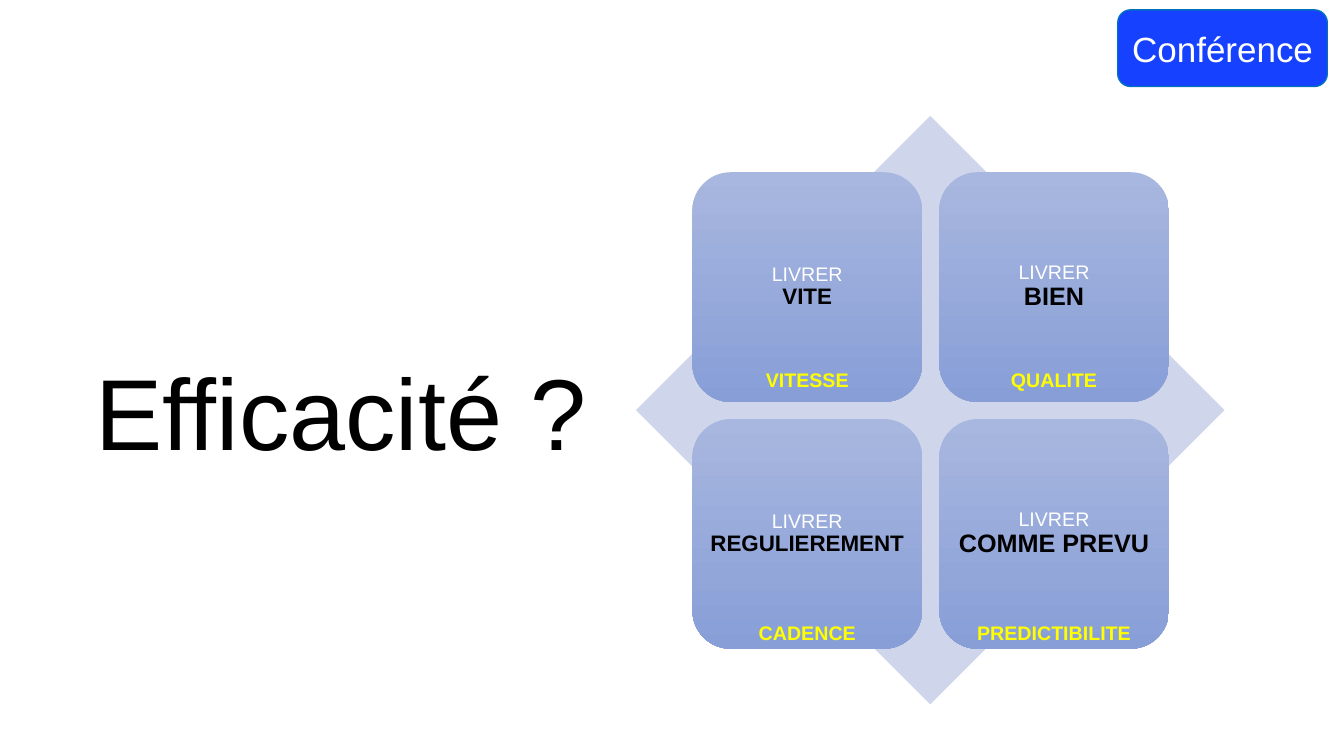
"""Build the "Efficacité ?" slide with its four delivery goals."""
from copy import deepcopy

from pptx import Presentation
from pptx.dml.color import RGBColor as RGB
from pptx.enum.shapes import MSO_SHAPE as SHAPE
from pptx.enum.text import MSO_ANCHOR as ANCHOR, PP_ALIGN as ALIGN
from pptx.oxml.ns import qn
from pptx.util import Cm, Pt

COLORS = {
    "tag": "1641FF", "tag_line": "0070C0", "diamond": "CFD5EA",
    "tile_top": "A8B7DF", "tile_bottom": "889ED7",
    "white": "FFFFFF", "black": "000000", "yellow": "FFFF00",
}
FONT = "Arial"
TILE, PITCH = 5.79, 6.22
TILES_LEFT, TILES_TOP = 17.45, 4.34
LABEL_TOPS = (9.14, 15.51)
GOALS = (
    (("VITE", 16, "VITESSE"), ("BIEN", 18, "QUALITE")),
    (("REGULIEREMENT", 16, "CADENCE"), ("COMME PREVU", 18, "PREDICTIBILITE")),
)


class Deck:
    def __init__(self):
        self.prs = Presentation()
        self.prs.slide_width, self.prs.slide_height = Cm(33.87), Cm(19.05)
        self.slide = self.prs.slides.add_slide(self.prs.slide_layouts[6])

    def color(self, name):
        return RGB.from_string(COLORS[name])

    def style(self, r, size, color, bold=False):
        f = r.font
        f.name, f.size, f.bold = FONT, Pt(size), bold
        f.color.rgb = self.color(color)

    def shape(self, kind, x, y, w, h, fill=None):
        sp = self.slide.shapes.add_shape(kind, Cm(x), Cm(y), Cm(w), Cm(h))
        sp.shadow.inherit = False
        sp.line.fill.background()
        if fill:
            sp.fill.solid()
            sp.fill.fore_color.rgb = self.color(fill)
        return sp

    def inner_text(self, sp, text, inset):
        tf = sp.text_frame
        tf.word_wrap, tf.vertical_anchor = True, ANCHOR.MIDDLE
        tf.margin_left = tf.margin_right = Cm(inset)
        tf.margin_top = tf.margin_bottom = Cm(inset)
        p = tf.paragraphs[0]
        p.text, p.alignment = text, ALIGN.CENTER
        return p

    def text(self, text, x, y, w, h, size, color, bold=False, align=ALIGN.LEFT):
        sp = self.slide.shapes.add_textbox(Cm(x), Cm(y), Cm(w), Cm(h))
        sp.text_frame.word_wrap = True
        p = sp.text_frame.paragraphs[0]
        p.text, p.alignment = text, align
        self.style(p.runs[0], size, color, bold)

    def tag(self, text, x, y, w, h):
        sp = self.shape(SHAPE.ROUNDED_RECTANGLE, x, y, w, h, "tag")
        sp.line.color.rgb, sp.line.width = self.color("tag_line"), Pt(1)
        p = self.inner_text(sp, text, 0.1)
        self.style(p.runs[0], 25, "white")

    def tile(self, goal, size, x, y):
        sp = self.shape(SHAPE.ROUNDED_RECTANGLE, x, y, TILE, TILE)
        sp.fill.gradient()
        sp.fill.gradient_angle = 270
        for stop, name in zip(sp.fill.gradient_stops, ("tile_top", "tile_bottom")):
            stop.color.rgb = self.color(name)
        p = self.inner_text(sp, f"LIVRER\v{goal}", 0.15)
        p.line_spacing = 0.9
        verb, target = p.runs
        self.style(verb, 14, "white")
        self.style(target, size, "black", True)
        p._p.find(qn("a:br")).append(deepcopy(verb._r.rPr))


def main():
    deck = Deck()
    deck.tag("Conférence", 28.17, 0.25, 5.28, 1.93)
    deck.shape(SHAPE.DIAMOND, 16.03, 2.92, 14.83, 14.83, "diamond")
    deck.text("Efficacité ?", 2.16, 8.69, 13.06, 3.33, 72, "black")
    for row, (goals, label_top) in enumerate(zip(GOALS, LABEL_TOPS)):
        for col, (goal, size, label) in enumerate(goals):
            x, y = TILES_LEFT + col * PITCH, TILES_TOP + row * PITCH
            deck.tile(goal, size, x, y)
            deck.text(label, x, label_top, TILE, 0.86, 14, "yellow", True, ALIGN.CENTER)
    deck.prs.save("out.pptx")


if __name__ == "__main__":
    main()
